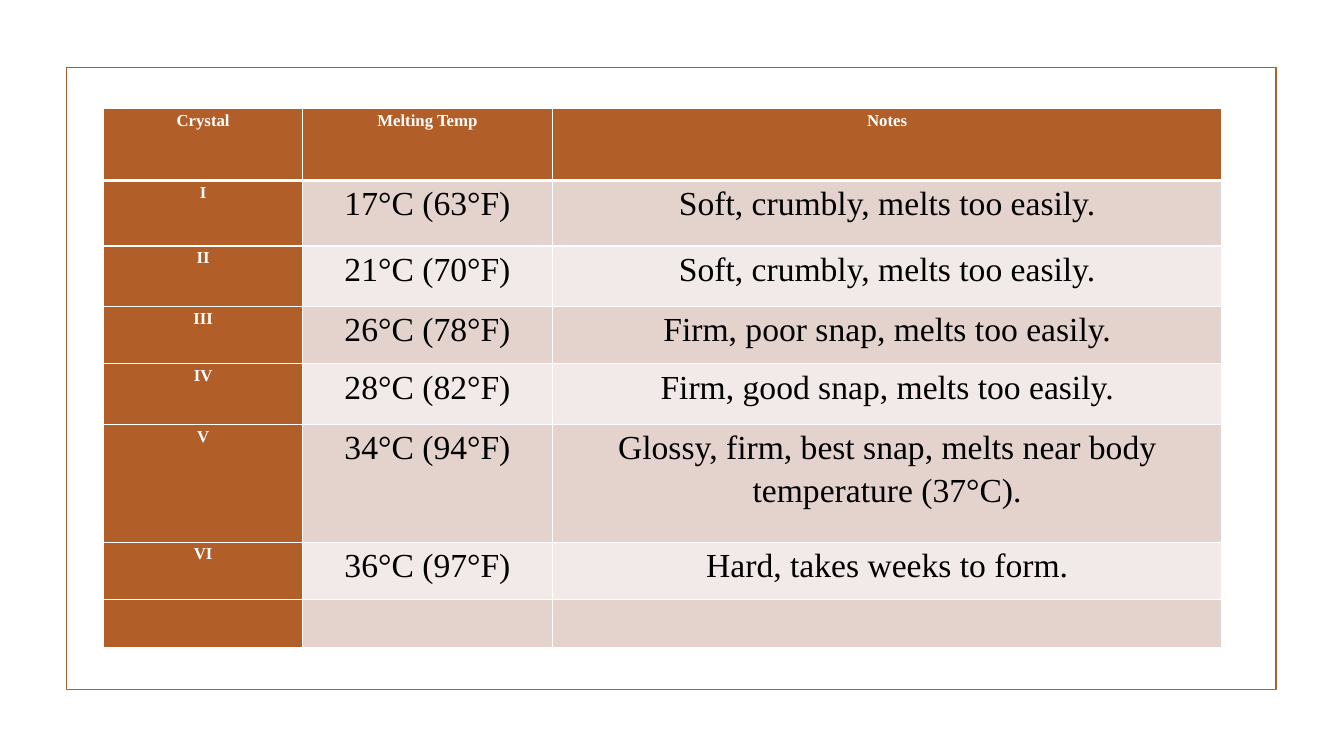
from lxml.etree import SubElement
from pptx import Presentation
from pptx.dml.color import RGBColor
from pptx.enum.shapes import MSO_SHAPE
from pptx.enum.text import PP_ALIGN
from pptx.oxml.ns import qn
from pptx.util import Inches, Pt

BROWN, WHITE, BLACK = "B15E28", "FFFFFF", "000000"
BANDS = ["E4D2CD", "F2EAE8"]
COLUMN_WIDTHS = [1.97, 2.48, 6.64]
ROW_HEIGHTS = [0.71, 0.65, 0.6, 0.57, 0.6, 1.17, 0.57, 0.48]
ROWS = [
    ("Crystal", "Melting Temp", "Notes"),
    ("I", "17°C (63°F)", "Soft, crumbly, melts too easily."),
    ("II", "21°C (70°F)", "Soft, crumbly, melts too easily."),
    ("III", "26°C (78°F)", "Firm, poor snap, melts too easily."),
    ("IV", "28°C (82°F)", "Firm, good snap, melts too easily."),
    ("V", "34°C (94°F)", "Glossy, firm, best snap, melts near body temperature (37°C)."),
    ("VI", "36°C (97°F)", "Hard, takes weeks to form."),
    ("", "", ""),
]


def color(hex_value):
    return RGBColor.from_string(hex_value)


def add_borders(cell, widths):
    """Draw white borders; widths maps each side (L, R, T, B) to points."""
    properties = cell._tc.get_or_add_tcPr()
    for side, width in widths.items():
        line = SubElement(properties, qn(f"a:ln{side}"), w=str(Pt(width)))
        fill = SubElement(line, qn("a:solidFill"))
        SubElement(fill, qn("a:srgbClr"), val=WHITE)


presentation = Presentation()
presentation.slide_width = Inches(13.33)
presentation.slide_height = Inches(7.5)
slide = presentation.slides.add_slide(presentation.slide_layouts[6])

frame = slide.shapes.add_shape(
    MSO_SHAPE.RECTANGLE, Inches(0.66), Inches(0.67), Inches(12), Inches(6.17))
frame.shadow.inherit = False
frame.fill.background()
frame.line.color.rgb = color(BROWN)
frame.line.width = Pt(1.25)

table = slide.shapes.add_table(
    len(ROWS), len(COLUMN_WIDTHS), Inches(1.03), Inches(1.08),
    Inches(sum(COLUMN_WIDTHS)), Inches(sum(ROW_HEIGHTS))).table
table.first_col = True
for column, width in zip(table.columns, COLUMN_WIDTHS):
    column.width = Inches(width)
for row, height in zip(table.rows, ROW_HEIGHTS):
    row.height = Inches(height)

heading_format = {"name": "Times New Roman", "size": Pt(12), "bold": True}
body_format = {"name": "Times New Roman", "size": Pt(24), "bold": False}
cell_margins = {"margin_left": Inches(0.07), "margin_right": Inches(0.07),
                "margin_top": 0, "margin_bottom": 0}

for row_index, texts in enumerate(ROWS):
    borders = {"L": 1, "R": 1, "T": 3 if row_index == 1 else 1,
               "B": 3 if row_index == 0 else 1}
    for column_index, text in enumerate(texts):
        is_heading = row_index == 0 or column_index == 0
        cell = table.cell(row_index, column_index)
        for name, value in cell_margins.items():
            setattr(cell, name, value)
        add_borders(cell, borders)
        cell.fill.solid()
        cell.fill.fore_color.rgb = color(BROWN if is_heading else BANDS[(row_index - 1) % 2])
        if not text:
            continue
        paragraph = cell.text_frame.paragraphs[0]
        paragraph.alignment = PP_ALIGN.CENTER
        paragraph.line_spacing = 1.15
        run = paragraph.add_run()
        run.text = text
        for name, value in (heading_format if is_heading else body_format).items():
            setattr(run.font, name, value)
        run.font.color.rgb = color(WHITE if is_heading else BLACK)

presentation.save("out.pptx")
